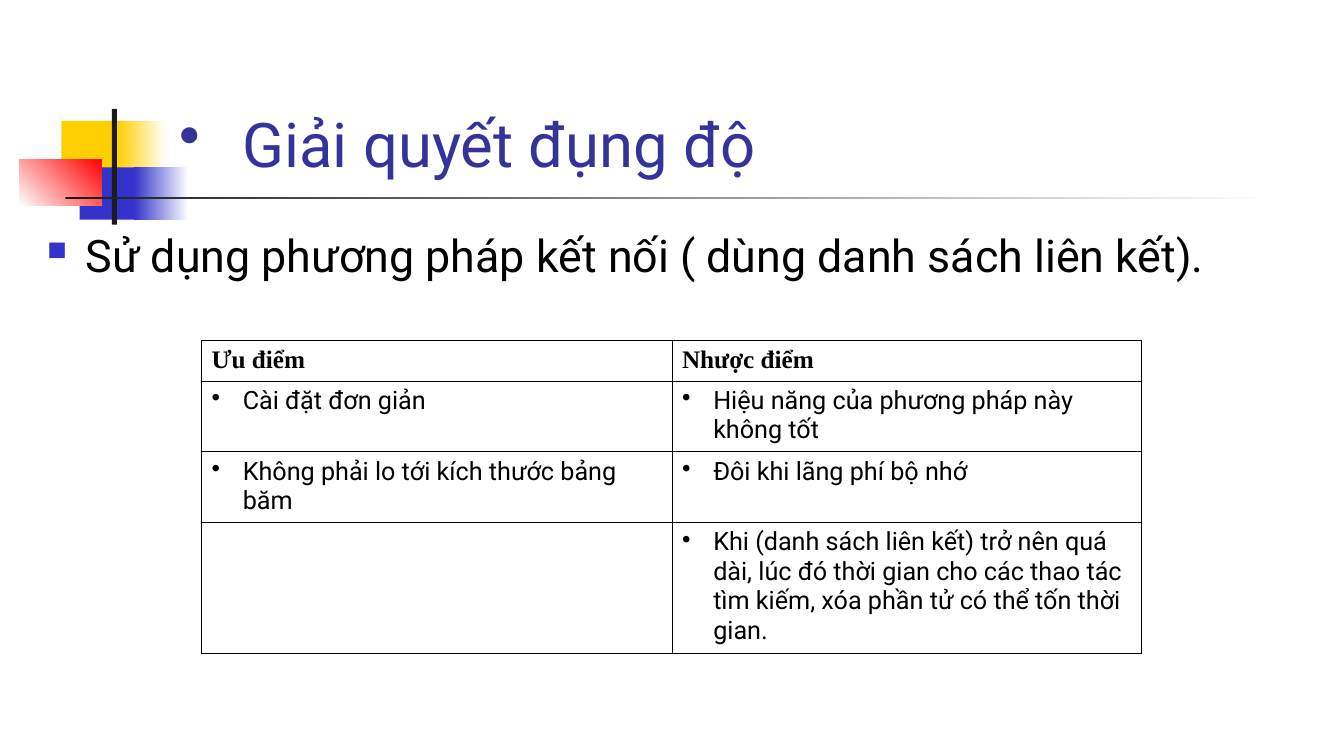
from lxml.etree import SubElement
from pptx import Presentation
from pptx.dml.color import RGBColor
from pptx.enum.shapes import MSO_SHAPE
from pptx.enum.text import MSO_ANCHOR
from pptx.oxml.ns import qn
from pptx.util import Inches, Pt

COLORS = {
    "yellow": "FFCF01", "blue": "3333CC", "red": "FF0000", "white": "FFFFFF",
    "ink": "1C1C1C", "navy": "333399", "black": "000000",
}
TITLE = "Giải quyết đụng độ"
METHOD = "Sử dụng phương pháp kết nối ( dùng danh sách liên kết)."
COMPARISON = [
    ("Ưu điểm", "Nhược điểm"),
    ("Cài đặt đơn giản", "Hiệu năng của phương pháp này không tốt"),
    ("Không phải lo tới kích thước bảng băm", "Đôi khi lãng phí bộ nhớ"),
    ("", "Khi (danh sách liên kết) trở nên quá dài, lúc đó thời gian cho các "
         "thao tác tìm kiếm, xóa phần tử có thể tốn thời gian."),
]
COLUMN_WIDTHS = (4.67, 4.66)
ROW_HEIGHTS = (0.4, 0.7, 0.7, 1.3)
ORNAMENTS = [
    ((0.61, 1.2, 0.64, 0.52), ("yellow",), 0),
    ((1.17, 1.2, 0.48, 0.52), ("yellow", "white"), 0),
    ((0.79, 1.66, 0.61, 0.52), ("blue",), 0),
    ((1.33, 1.66, 0.54, 0.52), ("blue", "white"), 0),
    ((0.19, 1.58, 0.82, 0.46), ("white", "red"), 45),
    ((1.11, 1.08, 0.05, 1.15), ("ink",), 0),
    ((0.65, 1.95, 11.99, 0.03), ("ink", "white"), 0),
]
TITLE_STYLE = {"font": {"name": "Roboto", "size": Pt(44)}, "color": "navy",
               "bullet": ("•", "navy", 100, 0.63)}
METHOD_STYLE = {"font": {"name": "Roboto", "size": Pt(32)}, "color": "black",
                "bullet": ("■", "blue", 60, 0.38)}
HEADER_STYLE = {"font": {"name": "Times New Roman", "size": Pt(18), "bold": True},
                "color": "black"}
ITEM_STYLE = {"font": {"name": "Roboto", "size": Pt(18), "bold": False},
              "color": "black", "bullet": ("•", "black", 100, 0.31)}


def rgb(color):
    return RGBColor.from_string(COLORS[color])


def add_bullet(paragraph, char, color, percent, indent):
    props = paragraph._p.get_or_add_pPr()
    props.set("marL", str(Inches(indent)))
    props.set("indent", str(-Inches(indent)))
    bullet_color = SubElement(props, qn("a:buClr"))
    SubElement(bullet_color, qn("a:srgbClr"), val=COLORS[color])
    SubElement(props, qn("a:buSzPct"), val=str(percent * 1000))
    SubElement(props, qn("a:buChar"), char=char)


def write(frame, text, style):
    paragraph = frame.paragraphs[0]
    if text and "bullet" in style:
        add_bullet(paragraph, *style["bullet"])
    if text:
        paragraph.add_run().text = text
    for target in [paragraph.font] + [run.font for run in paragraph.runs]:
        for key, value in style["font"].items():
            setattr(target, key, value)
        target.color.rgb = rgb(style["color"])


def add_ornament(slide, box, colors, angle):
    ornament = slide.shapes.add_shape(MSO_SHAPE.RECTANGLE, *map(Inches, box))
    ornament.shadow.inherit = False
    ornament.line.fill.background()
    if len(colors) == 1:
        ornament.fill.solid()
        ornament.fill.fore_color.rgb = rgb(colors[0])
        return
    ornament.fill.gradient()
    ornament.fill.gradient_angle = angle
    for stop, color in zip(ornament.fill.gradient_stops, colors):
        stop.color.rgb = rgb(color)


def add_text(slide, box, text, style, anchor):
    frame = slide.shapes.add_textbox(*map(Inches, box)).text_frame
    frame.word_wrap = True
    frame.vertical_anchor = anchor
    write(frame, text, style)


def add_borders(cell):
    props = cell._tc.get_or_add_tcPr()
    for side in "LRTB":
        border = SubElement(props, qn(f"a:ln{side}"), w=str(Pt(0.45)))
        fill = SubElement(border, qn("a:solidFill"))
        SubElement(fill, qn("a:srgbClr"), val=COLORS["black"])


def add_comparison(slide):
    box = (2, 3.38, sum(COLUMN_WIDTHS), sum(ROW_HEIGHTS))
    table = slide.shapes.add_table(
        len(ROW_HEIGHTS), len(COLUMN_WIDTHS), *map(Inches, box)).table
    table.first_row = table.horz_banding = False
    for column, width in zip(table.columns, COLUMN_WIDTHS):
        column.width = Inches(width)
    for r, (height, texts) in enumerate(zip(ROW_HEIGHTS, COMPARISON)):
        table.rows[r].height = Inches(height)
        for c, text in enumerate(texts):
            cell = table.cell(r, c)
            add_borders(cell)
            cell.fill.background()
            write(cell.text_frame, text, ITEM_STYLE if r else HEADER_STYLE)


def main():
    deck = Presentation()
    deck.slide_width, deck.slide_height = Inches(13.34), Inches(7.5)
    slide = deck.slides.add_slide(deck.slide_layouts[6])
    for ornament in ORNAMENTS:
        add_ornament(slide, *ornament)
    add_text(slide, (1.68, 0.23, 11.36, 1.6), TITLE, TITLE_STYLE, MSO_ANCHOR.BOTTOM)
    add_text(slide, (0.37, 2.21, 12.69, 4.5), METHOD, METHOD_STYLE, MSO_ANCHOR.TOP)
    add_comparison(slide)
    deck.save("out.pptx")


if __name__ == "__main__":
    main()
